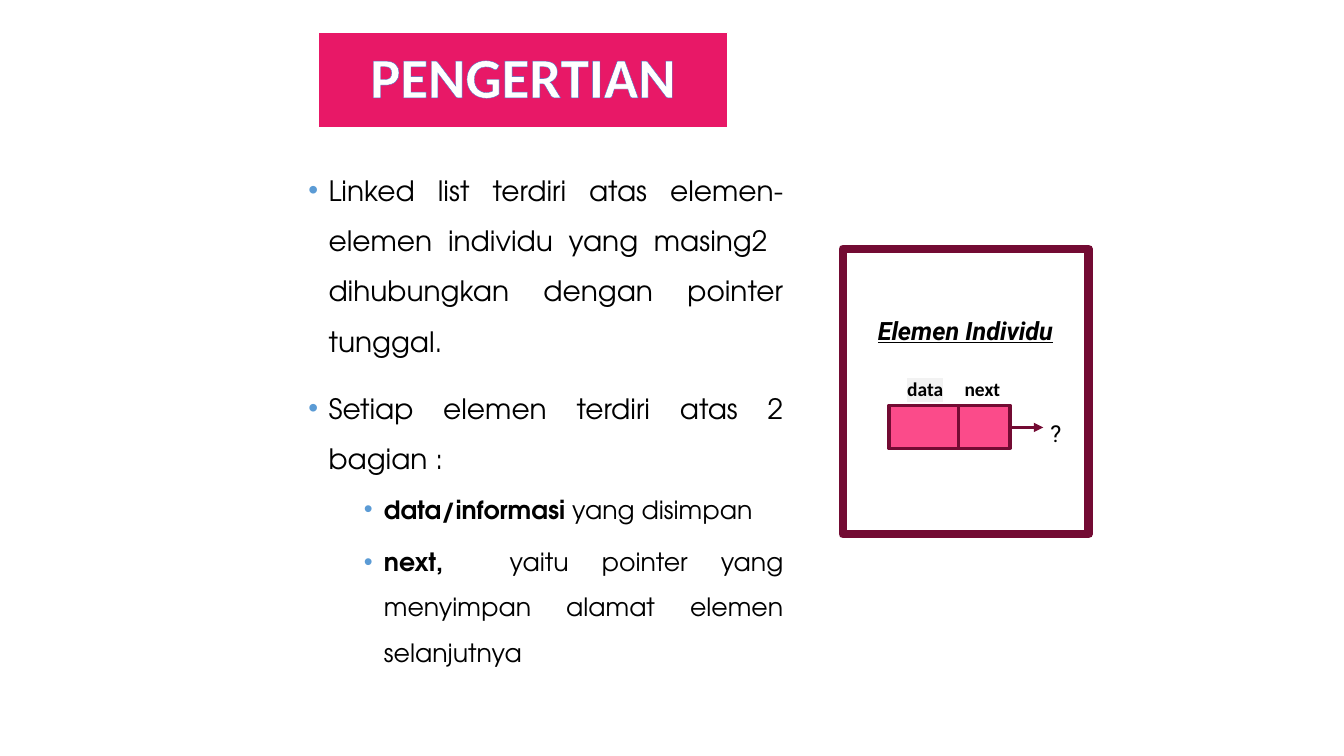
"""Build the slide that defines a linked list and its elements."""
from dataclasses import dataclass

from lxml.etree import SubElement
from pptx import Presentation
from pptx.dml.color import RGBColor
from pptx.enum.shapes import MSO_CONNECTOR as CONN, MSO_SHAPE as SHAPE
from pptx.enum.text import MSO_ANCHOR as ANCHOR, PP_ALIGN as ALIGN
from pptx.oxml import parse_xml
from pptx.oxml.ns import nsdecls, qn
from pptx.util import Pt

WHITE = RGBColor(0xFF, 0xFF, 0xFF)
BLACK = RGBColor(0x00, 0x00, 0x00)
MAGENTA = RGBColor(0xE8, 0x18, 0x67)
PINK = RGBColor(0xFB, 0x4B, 0x8A)
MAROON = RGBColor(0x73, 0x0B, 0x33)
BULLET_BLUE = RGBColor(0x5B, 0x9B, 0xD5)
OUTLINE_BLUE = RGBColor(0x44, 0x72, 0xC4)
LABEL_GREY = RGBColor(0xF2, 0xF2, 0xF2)

BODY_FONT = "TeX Gyre Adventor"
CELL_TOP, CELL_HEIGHT = 289.4, 31
LABEL_TOP, LABEL_WIDTH, LABEL_HEIGHT = 265.7, 37.4, 23.8


@dataclass
class Box:
    left: float
    top: float
    width: float
    height: float
    line: RGBColor
    weight: float
    fill: RGBColor | None = None


@dataclass
class Label:
    text: str
    left: float
    top: float
    width: float
    height: float
    font: str
    size: float
    bold: bool = True
    emphasis: bool = False
    align: ALIGN = ALIGN.LEFT
    spacing: float = 1.0
    before: float = 0
    after: float = 0
    highlight: RGBColor | None = None


@dataclass
class Bullet:
    strong: str
    plain: str
    level: int
    size: float
    indent: float
    before: float
    after: float


FRAME = Box(602, 177.8, 175.7, 203.8, MAROON, 6)
TITLE = Box(227.5, 23, 292.3, 67.7, WHITE, 0.5, MAGENTA)
CELLS = [
    Box(635, CELL_TOP, 50.4, CELL_HEIGHT, MAROON, 2.25, PINK),
    Box(684.7, CELL_TOP, 36.7, CELL_HEIGHT, MAROON, 2.25, PINK),
]
LABELS = [
    Label("Elemen Individu", 622, 208, 154.8, 44.6, "Roboto", 18,
          emphasis=True, align=ALIGN.JUSTIFY, spacing=1.5, before=12),
    Label("?", 745.2, 288, 13.7, 34.6, "Roboto", 16.6, bold=False,
          align=ALIGN.JUSTIFY, spacing=1.4, before=12),
    Label("data", 643, LABEL_TOP, LABEL_WIDTH, LABEL_HEIGHT, "Calibri", 13.9,
          after=10, highlight=LABEL_GREY),
    Label("next", 684, LABEL_TOP, LABEL_WIDTH, LABEL_HEIGHT, "Calibri", 13.9,
          after=10),
]
BULLETS = [
    Bullet("", "Linked list terdiri atas elemen-elemen individu yang masing2  "
           "dihubungkan dengan pointer tunggal.", 0, 20, 14.4, 12, 0),
    Bullet("", "Setiap elemen terdiri atas 2 bagian :", 0, 20, 14.4, 12, 0),
    Bullet("data/informasi ", "yang disimpan", 1, 18, 54, 2.5, 2.5),
    Bullet("next,  ", "yaitu pointer yang menyimpan alamat elemen selanjutnya",
           1, 18, 54, 2.5, 2.5),
]


def style_run(r, font: str, size: float, color: RGBColor, bold: bool) -> None:
    """Set the font of a run."""
    r.font.name, r.font.size, r.font.bold = font, Pt(size), bold
    r.font.color.rgb = color


def add_box(s, box: Box):
    """Draw a rectangle and return it."""
    sp = s.shapes.add_shape(SHAPE.RECTANGLE, Pt(box.left), Pt(box.top),
                            Pt(box.width), Pt(box.height))
    sp.shadow.inherit = False
    if box.fill is None:
        sp.fill.background()
    else:
        sp.fill.solid()
        sp.fill.fore_color.rgb = box.fill
    sp.line.color.rgb = box.line
    sp.line.width = Pt(box.weight)
    SubElement(sp.line._get_or_add_ln(), qn("a:round"))
    return sp


def add_text_box(s, left: float, top: float, width: float, height: float):
    """Add a wrapped, vertically centred text box and return its frame."""
    tf = s.shapes.add_textbox(Pt(left), Pt(top), Pt(width), Pt(height)).text_frame
    tf.word_wrap = True
    tf.vertical_anchor = ANCHOR.MIDDLE
    tf.margin_left = tf.margin_right = Pt(5)
    tf.margin_top = tf.margin_bottom = Pt(3)
    return tf


def add_title(s) -> None:
    """Draw the title banner with outlined letters."""
    tf = add_box(s, TITLE).text_frame
    tf.text = "PENGERTIAN"
    tf.vertical_anchor = ANCHOR.MIDDLE
    p = tf.paragraphs[0]
    p.alignment, p.line_spacing = ALIGN.CENTER, 0.9
    r = p.runs[0]
    style_run(r, "Calibri", 40.5, WHITE, True)
    r._r.get_or_add_rPr().insert(0, parse_xml(
        f'<a:ln {nsdecls("a")} w="{Pt(0.8)}"><a:solidFill>'
        f'<a:srgbClr val="{OUTLINE_BLUE}"/></a:solidFill></a:ln>'))


def add_label(s, label: Label) -> None:
    """Write one line of text of the diagram."""
    tf = add_text_box(s, label.left, label.top, label.width, label.height)
    tf.text = label.text
    p = tf.paragraphs[0]
    p.alignment, p.line_spacing = label.align, label.spacing
    p.space_before, p.space_after = Pt(label.before), Pt(label.after)
    r = p.runs[0]
    style_run(r, label.font, label.size, BLACK, label.bold)
    r.font.italic = r.font.underline = label.emphasis
    if label.highlight is not None:
        r._r.rPr.find(qn("a:latin")).addprevious(parse_xml(
            f'<a:highlight {nsdecls("a")}>'
            f'<a:srgbClr val="{label.highlight}"/></a:highlight>'))


def add_bullets(s, bullets: list[Bullet]) -> None:
    """Write the bulleted body text."""
    tf = add_text_box(s, 215.3, 100.1, 349.2, 388.1)
    for i, bullet in enumerate(bullets):
        p = tf.add_paragraph() if i else tf.paragraphs[0]
        p.level, p.alignment, p.line_spacing = bullet.level, ALIGN.JUSTIFY, 1.5
        p.space_before, p.space_after = Pt(bullet.before), Pt(bullet.after)
        for text, bold in ((bullet.strong, True), (bullet.plain, False)):
            if text:
                r = p.add_run()
                r.text = text
                style_run(r, BODY_FONT, bullet.size, BLACK, bold)
        pPr = p._p.get_or_add_pPr()
        pPr.set("marL", str(Pt(bullet.indent)))
        pPr.set("indent", str(Pt(-14.4)))
        color = SubElement(pPr, qn("a:buClr"))
        SubElement(color, qn("a:srgbClr"), val=str(BULLET_BLUE))
        SubElement(pPr, qn("a:buFont"), typeface="Arial")
        SubElement(pPr, qn("a:buChar"), char="•")


def add_arrow(s, left: float, right: float, y: float) -> None:
    """Draw the pointer arrow from left to right."""
    arrow = s.shapes.add_connector(CONN.STRAIGHT, Pt(left), Pt(y), Pt(right), Pt(y))
    arrow.line.color.rgb = MAROON
    arrow.line.width = Pt(2.25)
    SubElement(arrow.line._get_or_add_ln(), qn("a:tailEnd"), type="triangle")
    SubElement(arrow._element.spPr, qn("a:effectLst"))


def main() -> None:
    """Create the presentation and save it."""
    prs = Presentation()
    prs.slide_width, prs.slide_height = Pt(960), Pt(540)
    s = prs.slides.add_slide(prs.slide_layouts[6])
    add_box(s, FRAME)
    add_title(s)
    add_bullets(s, BULLETS)
    for cell in CELLS:
        add_box(s, cell)
    add_arrow(s, 721.4, 745.2, 305.3)
    for label in LABELS:
        add_label(s, label)
    prs.save("out.pptx")


if __name__ == "__main__":
    main()
